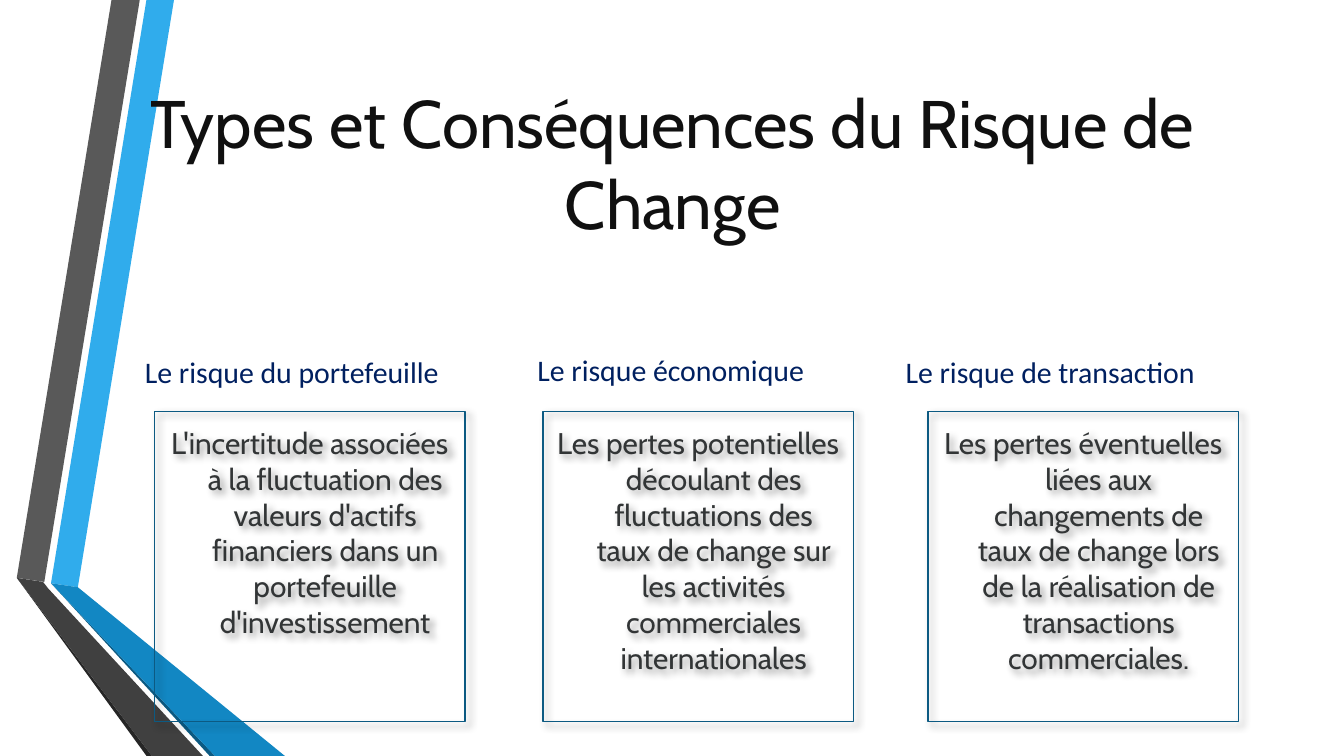
import pptx
import pptx.util
import pptx.dml.color
import pptx.enum.shapes
import pptx.enum.text
import pptx.oxml
import pptx.oxml.ns

RGB = pptx.dml.color.RGBColor
Pt = pptx.util.Pt
ALIGN = pptx.enum.text.PP_ALIGN

PX = 4572  # EMU per px, 200 px to the inch
INK = RGB(0x10, 0x10, 0x10)
NAVY = RGB(0x00, 0x20, 0x60)
BODY = RGB(0x32, 0x35, 0x36)
SKY = RGB(0x30, 0xAC, 0xEC)
BLUE = RGB(0x12, 0x87, 0xC3)
DEEP = RGB(0x0C, 0x5A, 0x82)
GREY = RGB(0x59, 0x59, 0x59)
DARK = RGB(0x40, 0x40, 0x40)
BLACK = RGB(0x26, 0x26, 0x26)

SHADOW = (
    f'<a:outerShdw {pptx.oxml.ns.nsdecls("a")} blurRad="50800" dist="38100" '
    'dir="2700000" algn="tl" rotWithShape="0">'
    '<a:srgbClr val="000000"><a:alpha val="40000"/></a:srgbClr></a:outerShdw>'
)


def write(sp, text, size, font, color, align, hang=0):
    tf = sp.text_frame
    tf.word_wrap = True
    tf.vertical_anchor = pptx.enum.text.MSO_ANCHOR.TOP
    tf.margin_left = tf.margin_right = tf.margin_top = tf.margin_bottom = 20 * PX
    p = tf.paragraphs[0]
    p.alignment = align
    if hang:
        pPr = p._p.get_or_add_pPr()
        pPr.set("marL", str(hang * PX))
        pPr.set("indent", str(-hang * PX))
    r = p.add_run()
    r.text = text
    r.font.size = Pt(size)
    r.font.name = font
    r.font.color.rgb = color


prs = pptx.Presentation()
prs.slide_width = 2000 * PX
prs.slide_height = 1125 * PX
s = prs.slides.add_slide(prs.slide_layouts[6])

# Folded ribbons on the left
ribbons = [
    (SKY, [(76, 868), (116, 874), (259, 0), (218, 0)]),
    (GREY, [(208, 0), (166, 0), (25, 860), (66, 866)]),
    (BLACK, [(25, 860), (218, 1125), (226, 1125)]),
    (DEEP, [(76, 868), (312, 1125), (320, 1125)]),
    (BLUE, [(76, 868), (320, 1125), (424, 1125), (116, 874)]),
    (DARK, [(302, 1125), (72, 876), (64, 866), (25, 860), (226, 1125)]),
]
for color, points in ribbons:
    fb = s.shapes.build_freeform(*points[0], scale=PX)
    fb.add_line_segments(points[1:], close=True)
    sp = fb.convert_to_shape()
    sp.shadow.inherit = False
    sp.fill.solid()
    sp.fill.fore_color.rgb = color
    sp.line.fill.background()

# Title
sp = s.shapes.add_textbox(158 * PX, 101 * PX, 1686 * PX, 142 * PX)
write(sp, "Types et Conséquences du Risque de Change", 36, "Cabin", INK, ALIGN.CENTER)

# Three risks: heading (left, top, width) above a framed definition (left)
risks = [
    ("Le risque du portefeuille", 196, 506, 584, 230,
     "L'incertitude associées à la fluctuation des valeurs d'actifs financiers "
     "dans un portefeuille d'investissement"),
    ("Le risque économique", 780, 503, 518, 808,
     "Les pertes potentielles découlant des fluctuations des taux de change "
     "sur les activités commerciales internationales"),
    ("Le risque de transaction", 1328, 506, 592, 1381,
     "Les pertes éventuelles liées aux changements de taux de change lors de "
     "la réalisation de transactions commerciales."),
]
for heading, left, top, width, box_left, definition in risks:
    sp = s.shapes.add_textbox(left * PX, top * PX, width * PX, 72 * PX)
    write(sp, heading, 16, "Calibri", NAVY, ALIGN.LEFT, hang=46)

    sp = s.shapes.add_shape(pptx.enum.shapes.MSO_SHAPE.RECTANGLE,
                            box_left * PX, 612 * PX, 462 * PX, 462 * PX)
    sp.fill.background()
    sp.line.color.rgb = DEEP
    sp.line.width = Pt(0.75)
    sp.shadow.inherit = False
    effects = sp._element.spPr.find(pptx.oxml.ns.qn("a:effectLst"))
    effects.append(pptx.oxml.parse_xml(SHADOW))
    write(sp, definition, 16, "Cabin", BODY, ALIGN.CENTER, hang=46)

prs.save("out.pptx")
